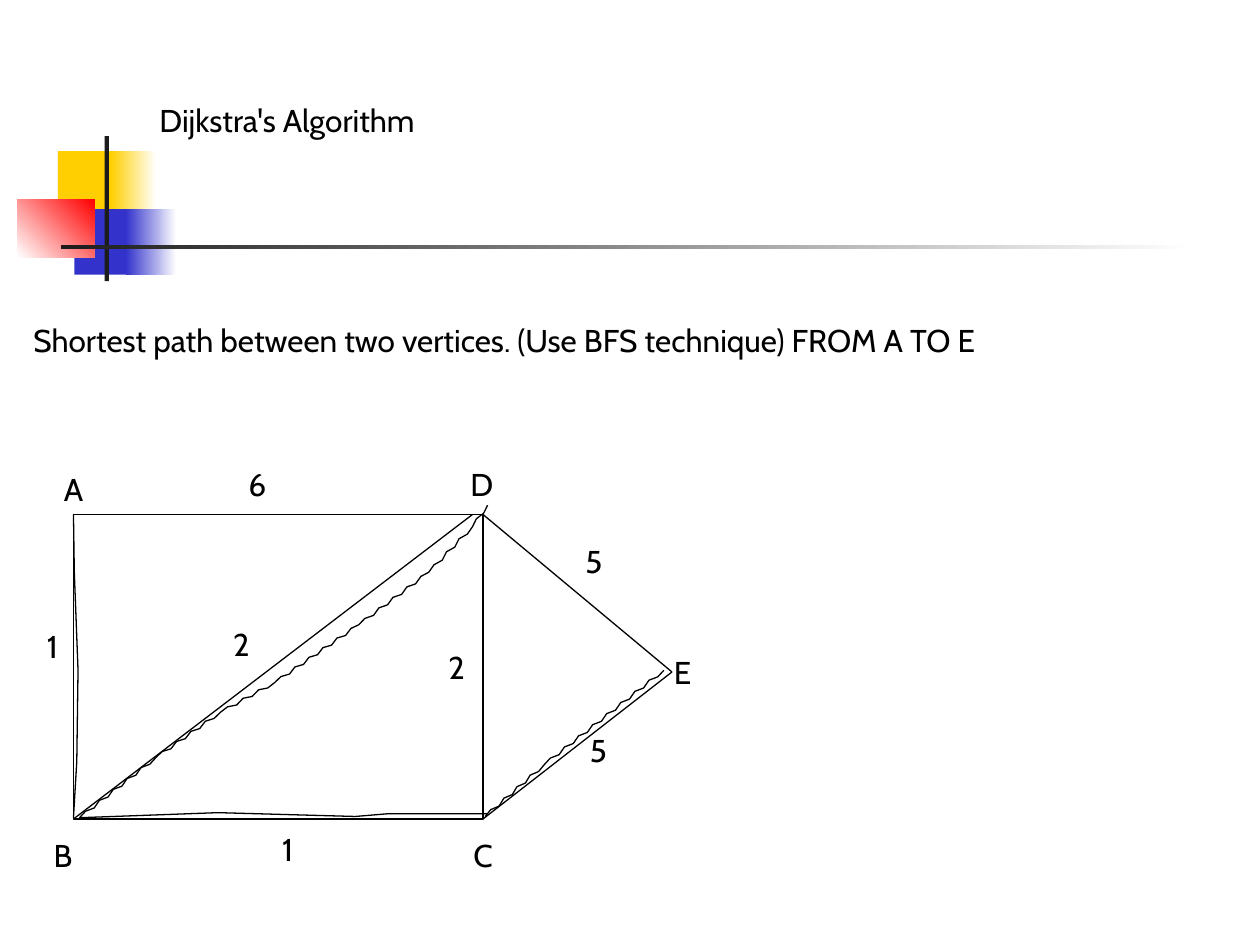
from itertools import pairwise
from math import hypot
from typing import NamedTuple, Optional

from lxml.etree import SubElement
from pptx import Presentation
from pptx.dml.color import RGBColor
from pptx.enum.shapes import MSO_CONNECTOR as Link, MSO_SHAPE as Preset
from pptx.enum.text import MSO_AUTO_SIZE as Fit, PP_ALIGN as Align
from pptx.oxml.ns import qn
from pptx.util import Pt

BLACK = RGBColor(0x00, 0x00, 0x00)
WHITE = RGBColor(0xFF, 0xFF, 0xFF)
YELLOW = RGBColor(0xFF, 0xCF, 0x01)
BLUE = RGBColor(0x33, 0x33, 0xCC)
RED = RGBColor(0xFF, 0x00, 0x00)
CHARCOAL = RGBColor(0x1C, 0x1C, 0x1C)

FONT_FORMAT = {"name": "Cabin", "size": Pt(18)}
FRAME_FORMAT = {"word_wrap": True, "auto_size": Fit.SHAPE_TO_FIT_TEXT}
LINE_WIDTH = Pt(0.75)
TEXT_HEIGHT = 28.8
LABEL_WIDTH = 48
RIPPLE_STEP = 5
RIPPLE_HEIGHT = 0.8


class Point(NamedTuple):
    x: float
    y: float

    def shifted(self, dx: float, dy: float) -> "Point":
        return Point(self.x + dx, self.y + dy)


class Block(NamedTuple):
    left: float
    top: float
    width: float
    height: float
    color: RGBColor
    fade_to: Optional[RGBColor] = None
    angle: float = 0


class Heading(NamedTuple):
    text: str
    left: float
    top: float
    width: float


class Edge(NamedTuple):
    ends: str
    weight: int
    label_shift: Point


class Stroke(NamedTuple):
    guides: list[Point]
    rippled: bool


ORNAMENT = [
    Block(33.1, 86.4, 34.6, 37.4, YELLOW),
    Block(63.4, 86.4, 25.9, 37.4, YELLOW, WHITE),
    Block(42.5, 119.5, 33.1, 37.4, BLUE),
    Block(72, 119.5, 28.8, 37.4, BLUE, WHITE),
    Block(10.1, 113.8, 43.9, 33.1, WHITE, RED, 45),
    Block(59.8, 77.8, 2.4, 82.8, CHARCOAL),
    Block(34.6, 140.1, 648, 2.4, CHARCOAL, WHITE),
]

HEADINGS = [
    Heading("Dijkstra's Algorithm", 84, 54, 462),
    Heading("Shortest path between two vertices. (Use BFS technique) FROM A TO E",
            12, 180, 690),
]

LEFT, RIGHT, TOP, BOTTOM = 42, 276, 294, 468
VERTICES = {
    "A": Point(LEFT, TOP),
    "B": Point(LEFT, BOTTOM),
    "C": Point(RIGHT, BOTTOM),
    "D": Point(RIGHT, TOP),
    "E": Point(384, 384),
}
NAME_SHIFTS = {
    "B": Point(-6, 20.4),
    "A": Point(0, -14.6),
    "C": Point(0, 20.4),
    "D": Point(-0.7, -17.6),
    "E": Point(6, -0.2),
}
EDGES = [
    Edge("AB", 1, Point(-12, -11.6)),
    Edge("AD", 6, Point(-12, -17.6)),
    Edge("BD", 2, Point(-21, -13.1)),
    Edge("BC", 1, Point(5.4, 17.4)),
    Edge("CD", 2, Point(-15, -0.1)),
    Edge("DE", 5, Point(9.4, -18.6)),
    Edge("CE", 5, Point(12, 2.4)),
]
DIAGONAL_END = VERTICES["D"].shifted(-6, 0)
SLANTED_LINES = [
    (VERTICES["B"], DIAGONAL_END),
    (VERTICES["D"], VERTICES["E"]),
    (VERTICES["E"], VERTICES["C"]),
]

STROKES = {
    "AB": Stroke([Point(42, 294), Point(42.5, 327), Point(44.6, 383),
                  Point(43.9, 435), Point(42, 467.3)], False),
    "BC": Stroke([Point(45.4, 467.3), Point(124.6, 464.4), Point(203, 466.6),
                  Point(222, 465), Point(278.6, 465.1)], False),
    "BD": Stroke([Point(45.4, 467.3), Point(89, 433), Point(126, 407),
                  Point(157, 390), Point(205, 357), Point(245, 327),
                  Point(270, 301), Point(278.6, 288.7)], True),
    "CE": Stroke([Point(277.2, 466.6), Point(311, 437), Point(379.4, 383)], True),
}


def apply_format(target, values: dict) -> None:
    for name, value in values.items():
        setattr(target, name, value)


def outline(shape) -> None:
    shape.line.color.rgb = BLACK
    shape.line.width = LINE_WIDTH


def draw_block(page, block: Block):
    shape = page.shapes.add_shape(Preset.RECTANGLE, *map(Pt, block[:4]))
    shape.shadow.inherit = False
    shape.line.fill.background()
    if block.fade_to is None:
        shape.fill.solid()
        shape.fill.fore_color.rgb = block.color
    else:
        shape.fill.gradient()
        shape.fill.gradient_angle = block.angle
        for stop, color in zip(shape.fill.gradient_stops, (block.color, block.fade_to)):
            stop.color.rgb = color
    return shape


def draw_text(page, heading: Heading, align: Optional[Align] = None) -> None:
    box = page.shapes.add_textbox(
        Pt(heading.left), Pt(heading.top), Pt(heading.width), Pt(TEXT_HEIGHT))
    apply_format(box.text_frame, FRAME_FORMAT)
    para = box.text_frame.paragraphs[0]
    para.alignment = align
    span = para.add_run()
    span.text = heading.text
    apply_format(span.font, FONT_FORMAT)
    span.font.color.rgb = BLACK


def draw_label(page, text: str, center: Point) -> None:
    corner = center.shifted(-LABEL_WIDTH / 2, -TEXT_HEIGHT / 2)
    draw_text(page, Heading(text, *corner, LABEL_WIDTH), Align.CENTER)


def midpoint(start: Point, end: Point) -> Point:
    return Point((start.x + end.x) / 2, (start.y + end.y) / 2)


def draw_line(page, start: Point, end: Point) -> None:
    line = page.shapes.add_connector(Link.STRAIGHT, *map(Pt, start + end))
    outline(line)
    SubElement(line._element.spPr, qn("a:effectLst"))


def ripple(guides: list[Point]) -> list[Point]:
    points = [guides[0]]
    for start, end in pairwise(guides):
        dx, dy = end.x - start.x, end.y - start.y
        length = hypot(dx, dy)
        steps = max(1, round(length / RIPPLE_STEP))
        for step in range(1, steps):
            share = step / steps
            side = RIPPLE_HEIGHT * (-1) ** step / length
            points.append(start.shifted(dx * share - dy * side, dy * share + dx * side))
        points.append(end)
    return points


def draw_stroke(page, stroke: Stroke) -> None:
    points = ripple(stroke.guides) if stroke.rippled else stroke.guides
    first, *rest = [(Pt(x), Pt(y)) for x, y in points]
    builder = page.shapes.build_freeform(*first)
    builder.add_line_segments(rest, close=False)
    shape = builder.convert_to_shape()
    shape.shadow.inherit = False
    shape.fill.background()
    outline(shape)


def main() -> None:
    deck = Presentation()
    deck.slide_width, deck.slide_height = Pt(720), Pt(540)
    page = deck.slides.add_slide(deck.slide_layouts[6])
    for block in ORNAMENT:
        draw_block(page, block)
    for heading in HEADINGS:
        draw_text(page, heading)
    outline(draw_block(page, Block(LEFT, TOP, RIGHT - LEFT, BOTTOM - TOP, WHITE)))
    for start, end in SLANTED_LINES:
        draw_line(page, start, end)
    for name, shift in NAME_SHIFTS.items():
        draw_label(page, name, VERTICES[name].shifted(*shift))
    for edge in EDGES:
        middle = midpoint(*(VERTICES[name] for name in edge.ends))
        draw_label(page, str(edge.weight), middle.shifted(*edge.label_shift))
    for stroke in STROKES.values():
        draw_stroke(page, stroke)
    deck.save("out.pptx")


if __name__ == "__main__":
    main()
